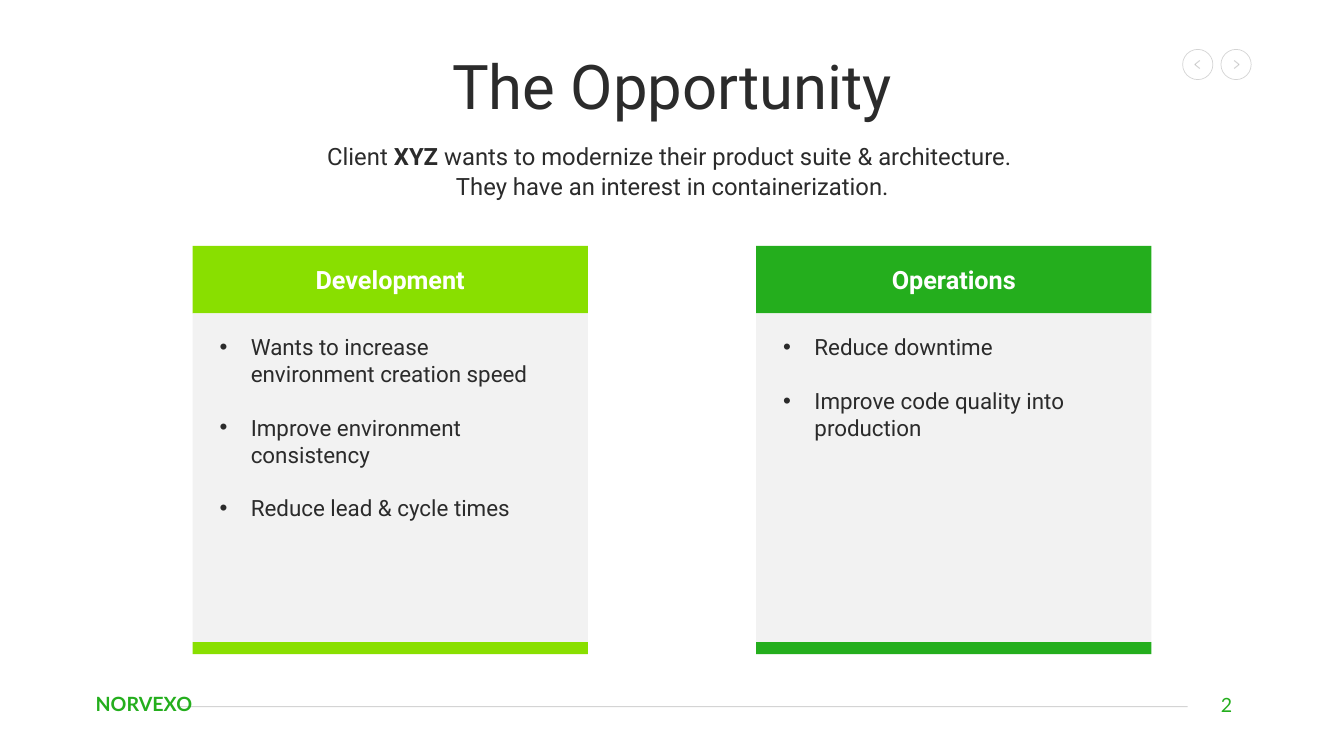
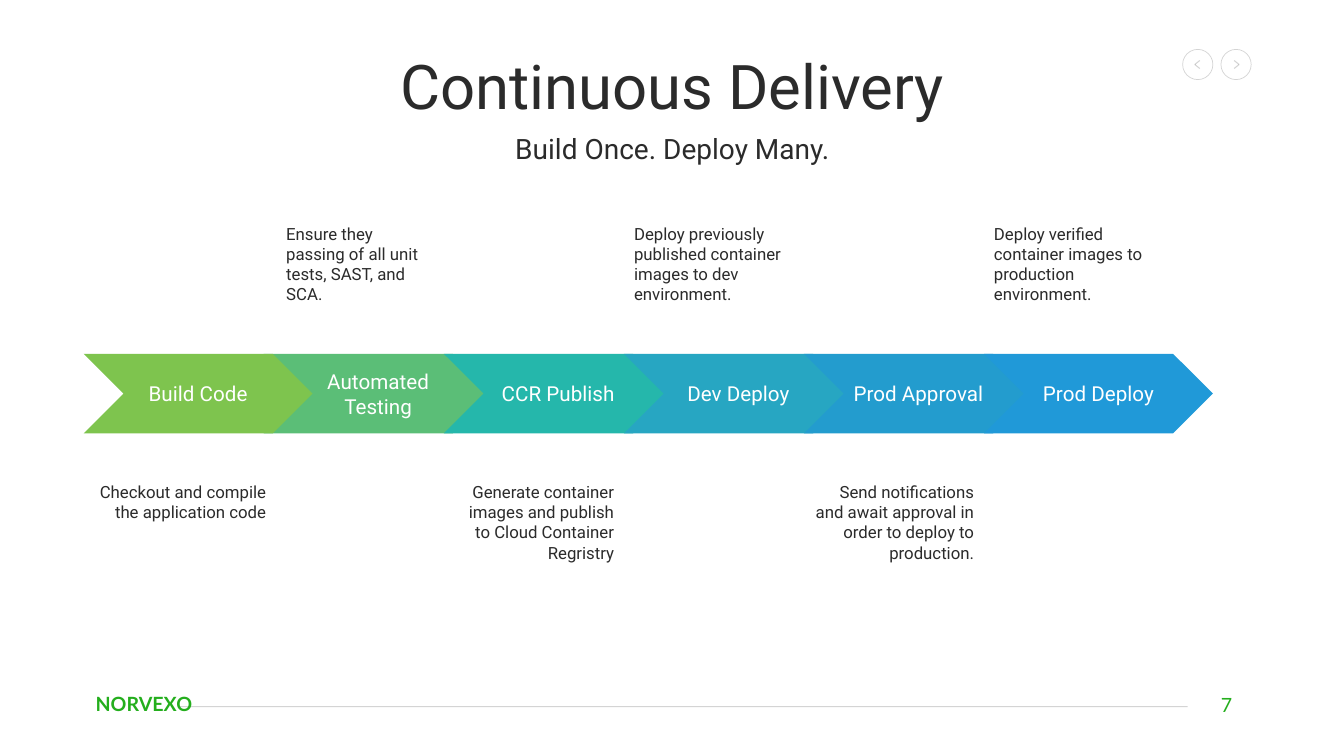
from lxml.etree import SubElement
from pptx import Presentation
from pptx.dml.color import RGBColor
from pptx.enum.shapes import MSO_CONNECTOR, MSO_SHAPE
from pptx.enum.text import MSO_ANCHOR, PP_ALIGN
from pptx.oxml.ns import qn
from pptx.util import Emu, Pt

INK, GREEN, LIME, PANEL, WHITE = "2B2B2B", "24AE1D", "89DF00", "F2F2F2", "FFFFFF"
LEFT, MID, RIGHT = PP_ALIGN.LEFT, PP_ALIGN.CENTER, PP_ALIGN.RIGHT
BODY, BRAND = "Roboto", "Lato"

OPPORTUNITY = {
    "page": 2,
    "title": "The Opportunity",
    "lead": [("Client ", False), ("XYZ", True),
             (" wants to modernize their product suite & architecture. \v"
              "They have an interest in containerization.", False)],
    "cards": [
        ("Development", LIME, ["Wants to increase environment creation speed",
                               "Improve environment consistency",
                               "Reduce lead & cycle times"]),
        ("Operations", GREEN, ["Reduce downtime",
                               "Improve code quality into production"]),
    ],
}
DELIVERY = {
    "page": 7,
    "title": "Continuous Delivery",
    "lead": [("Build Once. Deploy Many.", False)],
    # label, colour, note, note left, note width
    "steps": [
        ("Build Code", "7EC44E",
         "Checkout and compile the application code", 83, 191),
        ("Automated\vTesting", "5BBE77",
         "Ensure they passing of all unit tests, SAST, and SCA.", 274, 166),
        ("CCR Publish", "25B7AB",
         "Generate container images and publish to Cloud Container Regristry", 440, 179),
        ("Dev Deploy", "27A6C2",
         "Deploy previously published container images to dev environment.", 619, 179),
        ("Prod Approval", "239CCE",
         "Send notifications and await approval in order to deploy to production.", 797, 179),
        ("Prod Deploy", "2099D8",
         "Deploy verified container images to production environment.", 976, 179),
    ],
}


def px(n):
    """Turn px, at 100 to the inch, into EMU."""
    return Emu(round(n * 9144))


def color(code):
    return RGBColor.from_string(code)


def style(para, size, ink=INK, align=LEFT, bold=None, face=BODY):
    para.alignment = align
    font = para.font
    font.name, font.size, font.bold = face, Pt(size), bold
    font.color.rgb = color(ink)


def add_text(slide, box, text, size, wrap=True, **look):
    frame = slide.shapes.add_textbox(*map(px, box)).text_frame
    frame.word_wrap = wrap
    para = frame.paragraphs[0]
    para.text = text
    style(para, size, **look)
    return frame


def add_block(slide, kind, box, fill=None):
    shape = slide.shapes.add_shape(kind, *map(px, box))
    shape.shadow.inherit = False
    if fill:
        shape.fill.solid()
        shape.fill.fore_color.rgb = color(fill)
        shape.line.fill.background()
    else:
        shape.fill.background()
    return shape


def label(shape, text, size, bold=None):
    frame = shape.text_frame
    frame.word_wrap = True
    frame.vertical_anchor = MSO_ANCHOR.MIDDLE
    frame.margin_left = frame.margin_right = 0
    frame.paragraphs[0].text = text
    style(frame.paragraphs[0], size, WHITE, MID, bold)


def pale(line, width):
    """Give a line the ink colour at 20 % opacity."""
    line.width = Pt(width)
    line.color.rgb = color(INK)
    ink = line.fill._xPr.find(".//" + qn("a:srgbClr"))
    SubElement(ink, qn("a:alpha"), val="20000")


def add_line(slide, *ends):
    line = slide.shapes.add_connector(MSO_CONNECTOR.STRAIGHT, *map(px, ends))
    pale(line.line, 0.75)
    SubElement(line._element.spPr, qn("a:effectLst"))


def bullet(para):
    props = para._p.get_or_add_pPr()
    props.set("marL", str(px(31)))
    props.set("indent", str(-px(31)))
    SubElement(props, qn("a:buFont"), typeface="Arial")
    SubElement(props, qn("a:buChar"), char="•")


def add_page(deck, data, lead_top, lead_size, spacing):
    """Add a slide with footer, arrow buttons, title and lead."""
    slide = deck.slides.add_slide(deck.slide_layouts[6])
    add_line(slide, 178, 701, 1178, 701)
    add_text(slide, (85, 682, 137, 34), "NORVEXO", 14, ink=GREEN, bold=True, face=BRAND)
    add_text(slide, (1201, 683, 42, 34), str(data["page"]), 14, wrap=False,
             ink=GREEN, face=BRAND)
    for left, tip, tail in ((1173, 1185, 1190), (1211, 1229, 1224)):
        ring = add_block(slide, MSO_SHAPE.OVAL, (left, 49, 30, 30))
        pale(ring.line, 0.5)
        for end in (60, 68):
            add_line(slide, tip, 64, tail, end)

    title = add_text(slide, (92, 40, 1150, 97), data["title"], 44, align=MID)
    title.vertical_anchor = MSO_ANCHOR.MIDDLE
    title.paragraphs[0].line_spacing = 0.9

    lead = add_text(slide, (167, lead_top, 1000, 68), "", lead_size, align=MID)
    para = lead.paragraphs[0]
    para.line_spacing = spacing
    for words, bold in data["lead"]:
        lines = words.split("\v")
        for i, part in enumerate(lines):
            if i:
                para.add_line_break()
            run = para.add_run()
            run.text = part
            if bold:
                run.font.bold = True
    return slide


def add_card(slide, left, name, tint, points):
    width = 392
    head = add_block(slide, MSO_SHAPE.RECTANGLE, (left, 244, width, 67), tint)
    label(head, name, 18, True)
    add_block(slide, MSO_SHAPE.RECTANGLE, (left, 311, width, 326), PANEL)
    add_block(slide, MSO_SHAPE.RECTANGLE, (left, 637, width, 12), tint)
    frame = add_text(slide, (left + 17, 326, 343, 199), points[0], 16)
    for point in points[1:]:
        para = frame.add_paragraph()
        para.text = point
        style(para, 16)
    for para in frame.paragraphs:
        para.space_after = Pt(19)
        bullet(para)


def add_steps(slide, steps):
    first, pitch = 83, 178.6
    order = [*range(1, len(steps)), 0]  # the first step lies on top
    for i in order:
        name, tint = steps[i][:2]
        arrow = add_block(slide, MSO_SHAPE.CHEVRON,
                          (first + i * pitch, 351, 227, 79), tint)
        label(arrow, name, 14.7)
    for i, (_, _, note, left, width) in enumerate(steps):
        top, align = ((473, RIGHT), (217, LEFT))[i % 2]
        add_text(slide, (left, top, width, 91), note, 12, align=align)


def main():
    deck = Presentation()
    deck.slide_width, deck.slide_height = px(1333), px(750)

    slide = add_page(deck, OPPORTUNITY, 135, 17, 1.04)
    for i, card in enumerate(OPPORTUNITY["cards"]):
        add_card(slide, 191 + i * 559, *card)

    slide = add_page(deck, DELIVERY, 119, 20, 1.2)
    add_steps(slide, DELIVERY["steps"])

    deck.save("out.pptx")


if __name__ == "__main__":
    main()
